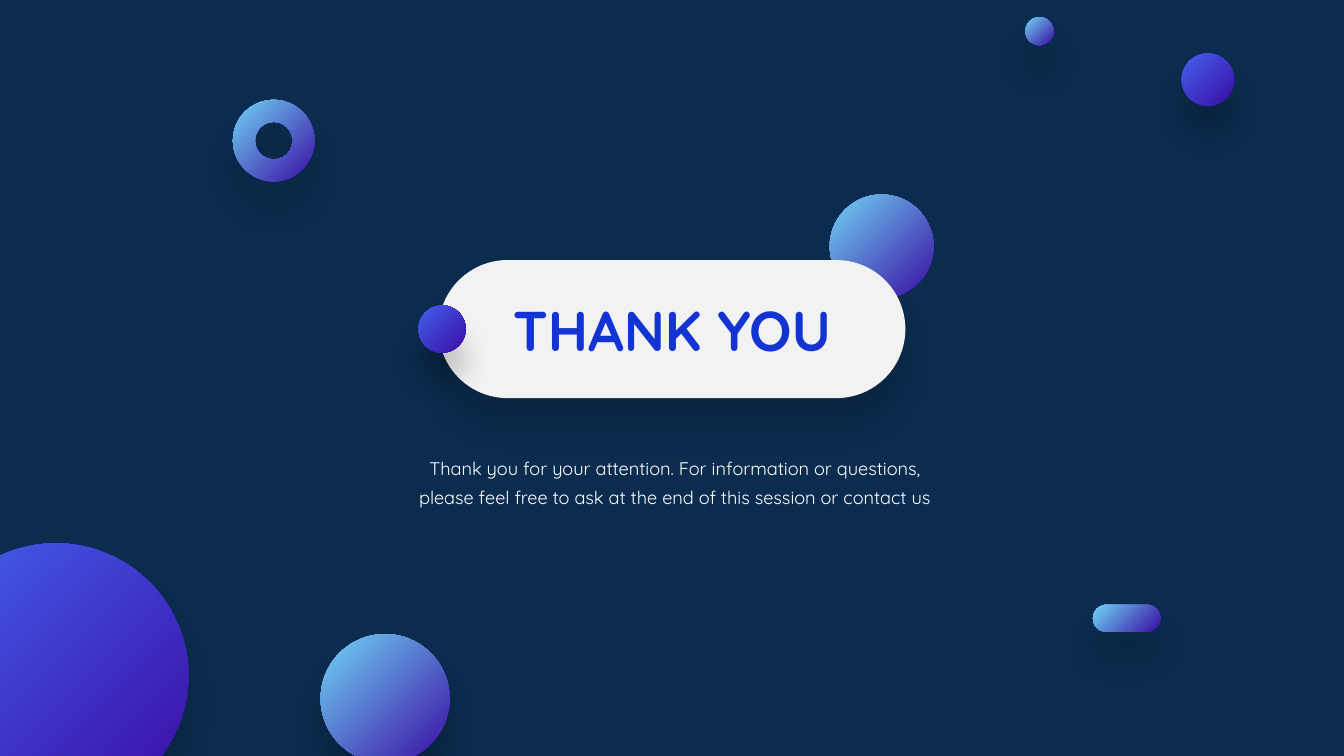
from dataclasses import dataclass

from lxml import etree
from pptx import Presentation
from pptx.dml.color import RGBColor
from pptx.enum.shapes import MSO_SHAPE
from pptx.enum.text import MSO_ANCHOR, MSO_AUTO_SIZE, PP_ALIGN
from pptx.oxml.ns import qn
from pptx.util import Inches, Pt

CIRCLE = MSO_SHAPE.OVAL
PILL = MSO_SHAPE.ROUNDED_RECTANGLE
RING = MSO_SHAPE.DONUT
CENTER = PP_ALIGN.CENTER
MIDDLE = MSO_ANCHOR.MIDDLE
TOP = MSO_ANCHOR.TOP
GROW = MSO_AUTO_SIZE.SHAPE_TO_FIT_TEXT


@dataclass(frozen=True)
class Theme:
    """Colours, font and type sizes of the slide."""
    navy: str = "0B2C4E"
    plate: str = "F2F2F2"
    violet: str = "3A0CA3"
    sky: str = "70D5F4"
    blue: str = "4361EE"
    heading: str = "1334D2"
    white: str = "FFFFFF"
    shadow: str = "000000"
    font: str = "Quicksand"
    title_size: int = 40
    body_size: int = 13
    body_leading: float = 20.4


THEME = Theme()


def color(value):
    """Turn a hex string into a colour."""
    return RGBColor.from_string(value)


def add_shadow(shape, opacity):
    """Drop a soft shadow straight down from a shape."""
    effects = shape.element.spPr.find(qn("a:effectLst"))
    shadow = etree.SubElement(
        effects, qn("a:outerShdw"), blurRad=str(Pt(20)), dist=str(Pt(20)),
        dir=str(90 * 60000), algn="t", rotWithShape="0")
    tone = etree.SubElement(shadow, qn("a:srgbClr"), val=THEME.shadow)
    etree.SubElement(tone, qn("a:alpha"), val=str(opacity * 1000))


def add_form(page, kind, left, top, width, height, shadow=0, adjustment=None):
    """Add an outline-free shape with an optional shadow opacity in percent."""
    shape = page.shapes.add_shape(
        kind, Inches(left), Inches(top), Inches(width), Inches(height))
    shape.shadow.inherit = False
    shape.line.fill.background()
    if adjustment is not None:
        shape.adjustments[0] = adjustment
    if shadow:
        add_shadow(shape, shadow)
    return shape


def add_gradient_form(page, highlight, *form, **options):
    """Add a shape shaded from violet at lower right to a highlight."""
    fill = add_form(page, *form, **options).fill
    fill.gradient()
    fill.gradient_angle = 135
    for stop, tone in zip(fill.gradient_stops, (THEME.violet, highlight)):
        stop.color.rgb = color(tone)


def add_ball(page, highlight, left, top, size, shadow=0):
    """Add a shaded ball."""
    add_gradient_form(page, highlight, CIRCLE, left, top, size, size, shadow=shadow)


def fill_placeholder(box, words, left, top, width, height, anchor, size, tone):
    """Move a placeholder to the front, place it and write centred text."""
    box.element.getparent().append(box.element)
    box.left, box.top = Inches(left), Inches(top)
    box.width, box.height = Inches(width), Inches(height)
    frame = box.text_frame
    frame.text = words
    frame.word_wrap = True
    frame.auto_size = GROW
    frame.vertical_anchor = anchor
    para = frame.paragraphs[0]
    para.alignment = CENTER
    para.space_before = Pt(0)
    para.font.name = THEME.font
    para.font.size = Pt(size)
    para.font.color.rgb = color(tone)
    return para


def add_message(page):
    """Add the heading plate with its title and the closing sentence."""
    plate = add_form(page, PILL, 4.35, 2.58, 4.63, 1.37, shadow=15, adjustment=0.5)
    plate.fill.solid()
    plate.fill.fore_color.rgb = color(THEME.plate)
    title = fill_placeholder(
        page.shapes.title, "THANK YOU", 4.46, 2.88, 4.41, 0.77,
        MIDDLE, THEME.title_size, THEME.heading)
    title.font.bold = True
    closing = fill_placeholder(
        page.placeholders[1],
        "Thank you for your attention. For information or questions, "
        "please feel free to ask at the end of this session or contact us",
        3.89, 4.42, 5.6, 0.63, TOP, THEME.body_size, THEME.white)
    closing.line_spacing = Pt(THEME.body_leading)
    closing.space_after = Pt(12)


def main():
    """Build the closing slide."""
    deck = Presentation()
    deck.slide_width, deck.slide_height = Inches(13.33), Inches(7.5)
    page = deck.slides.add_slide(deck.slide_layouts[0])
    page.background.fill.solid()
    page.background.fill.fore_color.rgb = color(THEME.navy)

    add_ball(page, THEME.sky, 8.23, 1.93, 1.03)
    add_message(page)
    add_gradient_form(page, THEME.sky, PILL, 10.84, 6, 0.67, 0.27,
                      shadow=15, adjustment=0.5)
    add_gradient_form(page, THEME.sky, RING, 2.31, 0.99, 0.81, 0.81,
                      shadow=15, adjustment=0.27)
    for ball in (
        (THEME.blue, 11.72, 0.53, 0.52, 20),
        (THEME.blue, -0.76, 5.39, 2.63, 15),
        (THEME.blue, 4.15, 3.03, 0.47, 20),
        (THEME.sky, 3.18, 6.29, 1.28, 20),
        (THEME.sky, 10.17, 0.17, 0.28, 20),
    ):
        add_ball(page, *ball)
    deck.save("out.pptx")


if __name__ == "__main__":
    main()
